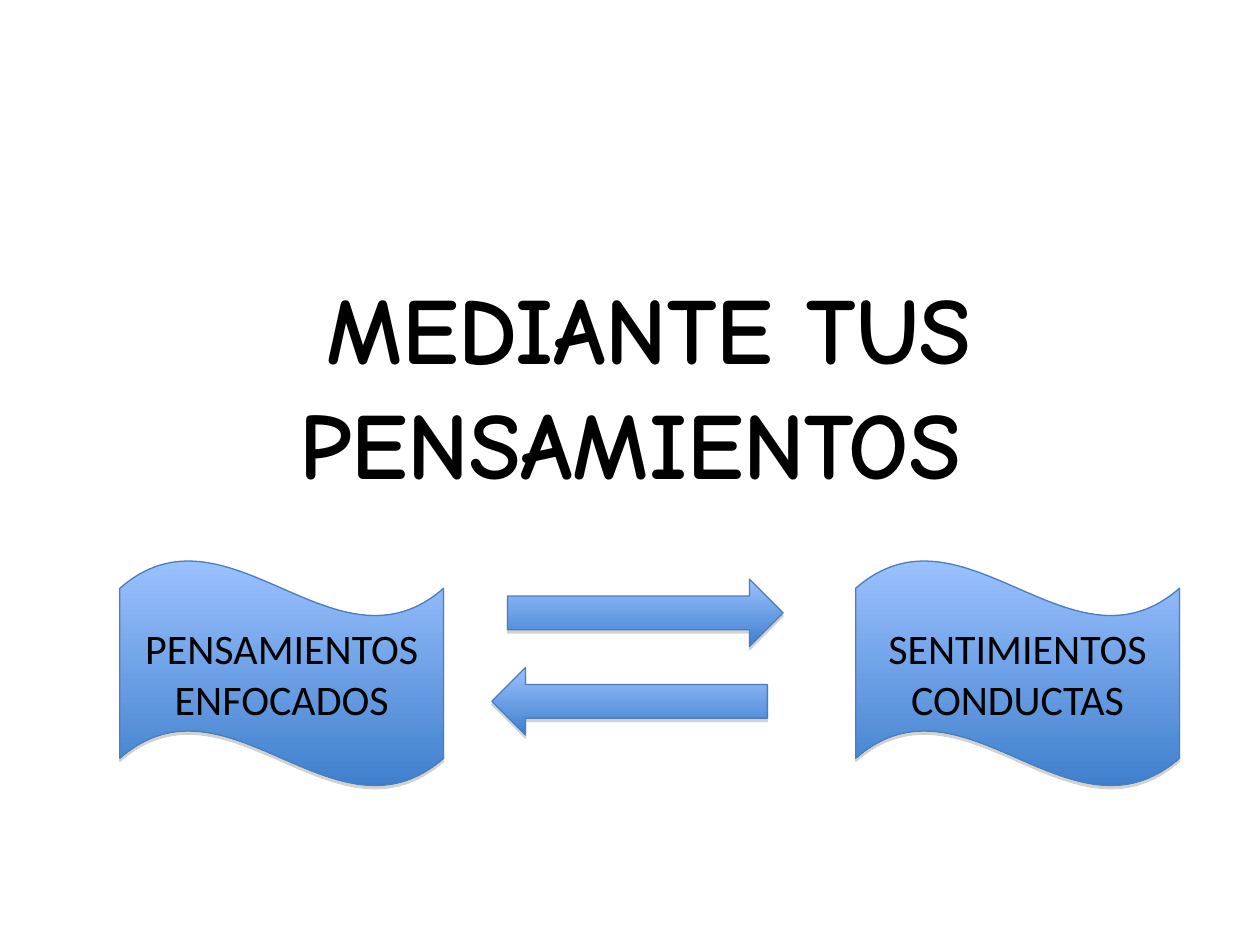
"""Builds a slide on focused thoughts and the feelings and conduct tied to them."""
from lxml import etree
from pptx import Presentation
from pptx.dml.color import RGBColor
from pptx.enum.shapes import MSO_SHAPE
from pptx.enum.text import MSO_ANCHOR, MSO_AUTO_SIZE, PP_ALIGN
from pptx.oxml import parse_xml
from pptx.oxml.ns import nsdecls, qn
from pptx.util import Pt

WAVE, ARROW = MSO_SHAPE.WAVE, MSO_SHAPE.RIGHT_ARROW
MIDDLE, CENTER, NO_FIT = MSO_ANCHOR.MIDDLE, PP_ALIGN.CENTER, MSO_AUTO_SIZE.NONE
BLACK = RGBColor(0x00, 0x00, 0x00)
LIGHT = RGBColor(0x9B, 0xC1, 0xFF)
DARK = RGBColor(0x3F, 0x80, 0xCD)
EDGE = RGBColor(0x4A, 0x7E, 0xBB)
SHADE = RGBColor(0x80, 0x80, 0x80)


def write(para, text, font, size, bold=False):
    para.alignment = CENTER
    run = para.add_run()
    run.text = text
    run.font.name = font
    run.font.size = Pt(size)
    run.font.bold = bold
    run.font.color.rgb = BLACK


def draw(kind, left, top, width, height, angle=270):
    shape = slide.shapes.add_shape(kind, Pt(left), Pt(top), Pt(width), Pt(height))
    shape.fill.gradient()
    shape.fill.gradient_angle = angle
    for stop, color in zip(shape.fill.gradient_stops, (LIGHT, DARK)):
        stop.color.rgb = color
    shape.line.color.rgb = EDGE
    shape.line.width = Pt(0.75)
    shape.shadow.inherit = False
    effects = shape._element.spPr.find(qn("a:effectLst"))
    effects.append(parse_xml(
        f'<a:outerShdw {nsdecls("a")} dist="{Pt(1.8)}" dir="5400000" rotWithShape="0">'
        f'<a:srgbClr val="{SHADE}"/></a:outerShdw>'))
    tint = effects.find(".//" + qn("a:srgbClr"))
    etree.SubElement(tint, qn("a:alpha")).set("val", "35000")
    return shape


deck = Presentation()
deck.slide_width, deck.slide_height = Pt(720), Pt(540)
slide = deck.slides.add_slide(deck.slide_layouts[5])

title = slide.shapes.title
title.left, title.top, title.width, title.height = Pt(0), Pt(112.5), Pt(720), Pt(208)
frame = title.text_frame
frame.auto_size = NO_FIT
frame.vertical_anchor = MIDDLE
head = frame.paragraphs[0]
write(head, " ", "Comic Neue", 60, bold=True)
write(head, "MEDIANTE TUS", "Comic Neue", 54, bold=True)
head.add_line_break()
write(head, "PENSAMIENTOS", "Comic Neue", 54, bold=True)

waves = [(489, ("SENTIMIENTOS", "CONDUCTAS")), (68.5, ("PENSAMIENTOS", "ENFOCADOS"))]
for left, lines in waves:
    frame = draw(WAVE, left, 320, 185, 129.5).text_frame
    frame.word_wrap = True
    frame.vertical_anchor = MIDDLE
    for i, line in enumerate(lines):
        para = frame.add_paragraph() if i else frame.paragraphs[0]
        write(para, line, "Calibri", 24)

for left, top, turn, angle in [(290, 331, 0, 270), (281, 381.5, 180, 90)]:
    draw(ARROW, left, top, 157.5, 38.5, angle).rotation = turn

deck.save("out.pptx")
